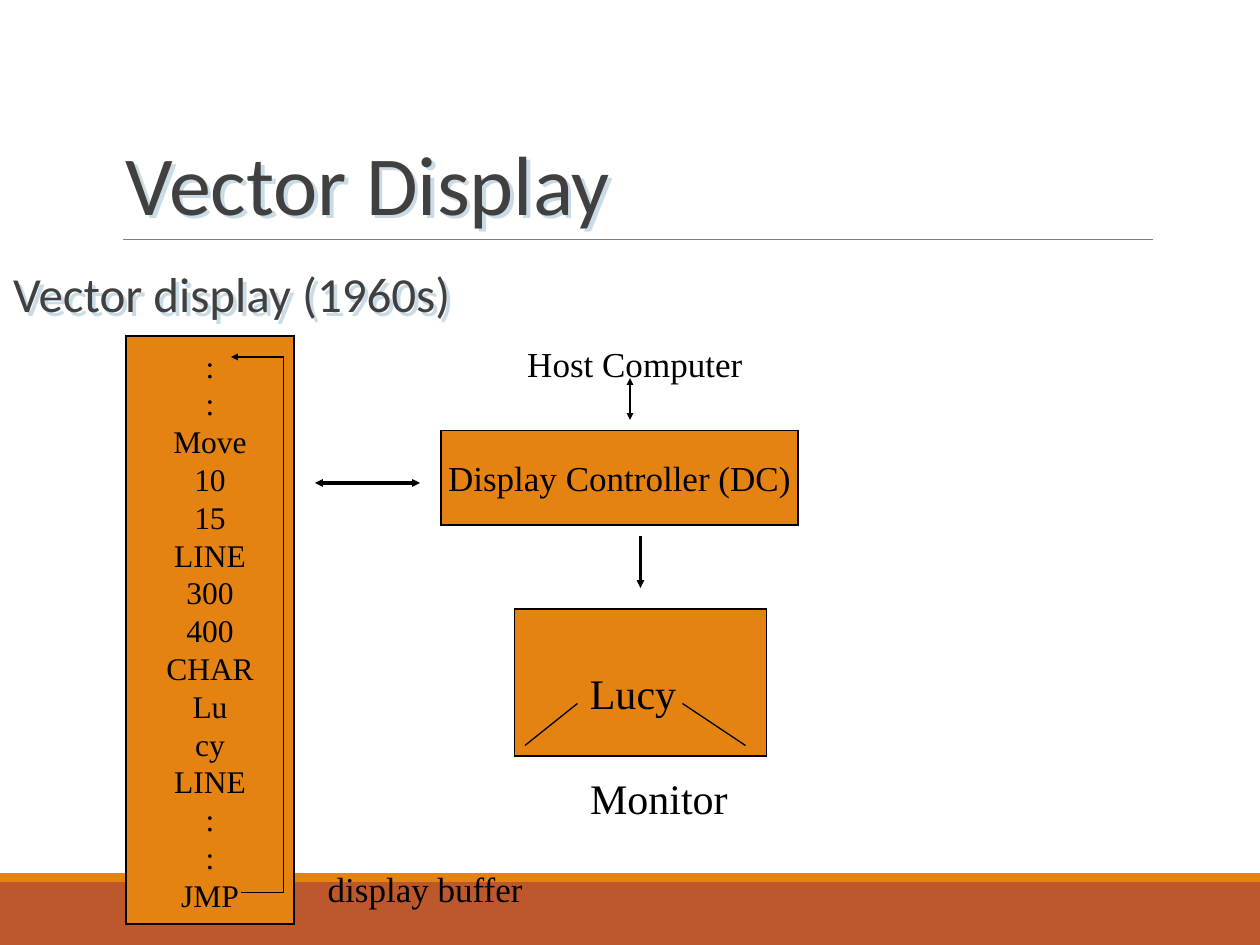
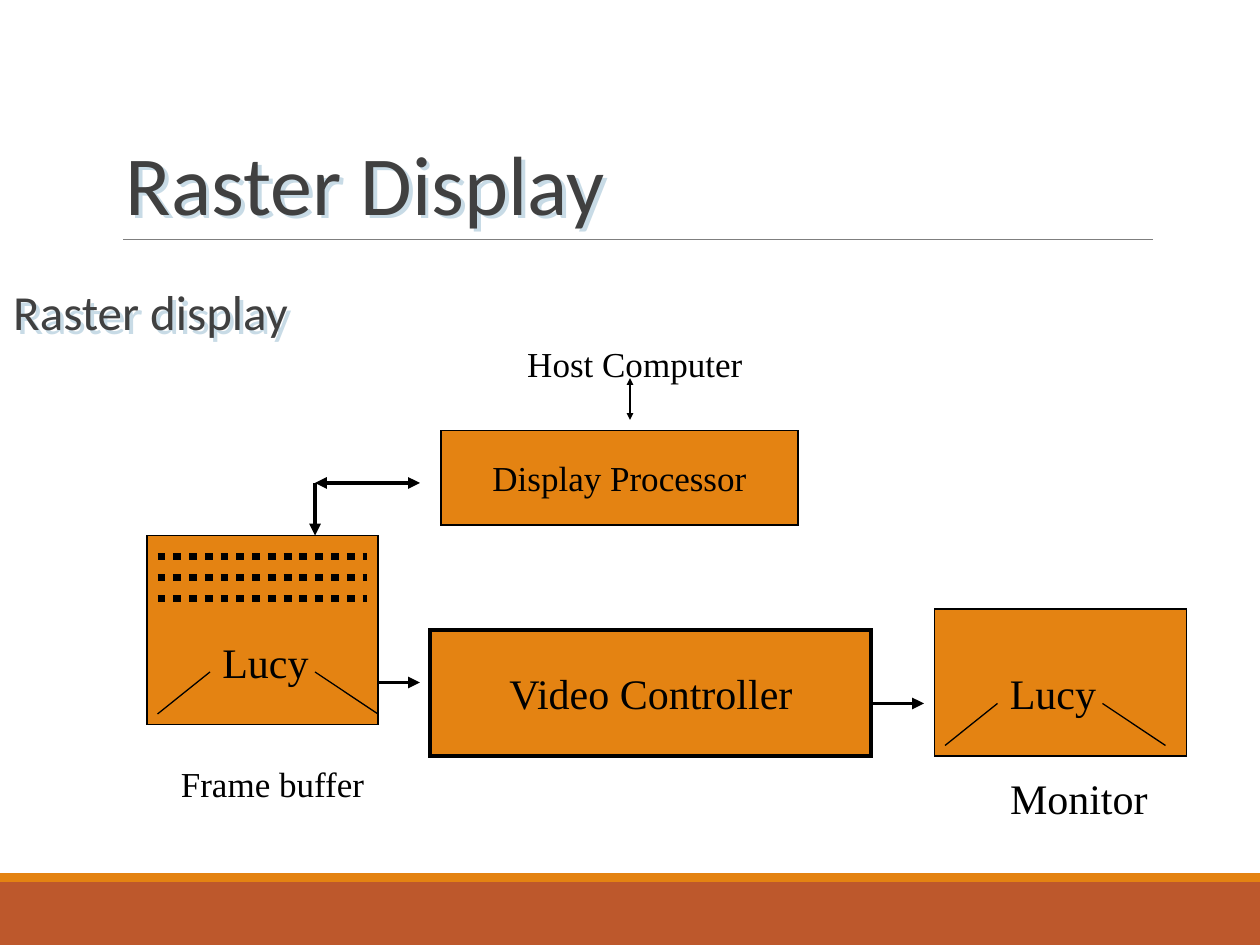
"""Builds two slides on vector and raster displays."""
from pptx import Presentation
from pptx.dml.color import RGBColor
from pptx.enum import dml, shapes, text
from pptx.oxml import parse_xml
from pptx.oxml.ns import nsdecls, qn
from pptx.util import Pt

ORANGE = RGBColor(0xE4, 0x83, 0x12)
RUST = RGBColor(0xBD, 0x58, 0x2C)
GREY = RGBColor(0x7F, 0x7F, 0x7F)
DARK = RGBColor(0x40, 0x40, 0x40)
BLACK = RGBColor(0, 0, 0)
SHADE = RGBColor(0xC8, 0xDB, 0xE6)
SANS, SERIF = "Calibri", "Times New Roman"
WIDTH, HEIGHT = 720, 540
THIN, THICK, DOTS = 0.75, 2.25, 4.5
CODE = [":", ":", "Move", "10", "15", "LINE", "300", "400", "CHAR",
        "Lu", "cy", "LINE", ":", ":", "JMP"]


def style(frame, words, size, font=SERIF, color=BLACK, align=text.PP_ALIGN.CENTER):
    """Fill a text frame and format its paragraphs."""
    frame.text = words
    for para in frame.paragraphs:
        para.alignment = align
        for run in para.runs:
            run.font.size = Pt(size)
            run.font.name = font
            run.font.color.rgb = color


def add_box(slide, x, y, w, h, words="", size=20, fill=ORANGE, edge=THIN):
    """Draw a filled rectangle with centred words."""
    box = slide.shapes.add_shape(shapes.MSO_SHAPE.RECTANGLE, Pt(x), Pt(y), Pt(w), Pt(h))
    box.shadow.inherit = False
    box.fill.solid()
    box.fill.fore_color.rgb = fill
    if edge:
        box.line.color.rgb = BLACK
        box.line.width = Pt(edge)
        box.line._get_or_add_ln().append(
            parse_xml(f'<a:miter {nsdecls("a")} lim="800000"/>'))
    else:
        box.line.fill.background()
    if words:
        frame = box.text_frame
        frame.word_wrap = False
        frame.vertical_anchor = text.MSO_ANCHOR.MIDDLE
        style(frame, words, size)


def add_label(slide, x, y, w, h, words, size=20):
    """Write a centred label that does not wrap."""
    box = slide.shapes.add_textbox(Pt(x), Pt(y), Pt(w), Pt(h))
    box.text_frame.word_wrap = False
    box.text_frame.auto_size = text.MSO_AUTO_SIZE.SHAPE_TO_FIT_TEXT
    style(box.text_frame, words, size)


def add_line(slide, start, end, width=THIN, ends="", color=BLACK, tip="sm"):
    """Draw a line; ends lists headEnd and tailEnd arrowheads."""
    points = [Pt(n) for n in (*start, *end)]
    line = slide.shapes.add_connector(shapes.MSO_CONNECTOR.STRAIGHT, *points)
    line.line.color.rgb = color
    line.line.width = Pt(width)
    for tag in ends.split():
        line.line._get_or_add_ln().append(parse_xml(
            f'<a:{tag} {nsdecls("a")} type="triangle" w="{tip}" len="{tip}"/>'))
    line._element.spPr.append(parse_xml(f'<a:effectLst {nsdecls("a")}/>'))
    return line


def add_head(slide, x, y, w, h, words, size, spacing=1.0, anchor=text.MSO_ANCHOR.TOP):
    """Write a heading with a pale offset shadow."""
    box = slide.shapes.add_textbox(Pt(x), Pt(y), Pt(w), Pt(h))
    frame = box.text_frame
    frame.word_wrap = True
    frame.vertical_anchor = anchor
    style(frame, words, size, SANS, DARK, text.PP_ALIGN.LEFT)
    frame.paragraphs[0].line_spacing = spacing
    box._element.spPr.append(parse_xml(
        f'<a:effectLst {nsdecls("a")}><a:outerShdw dist="{Pt(3)}" dir="2700000">'
        f'<a:srgbClr val="{SHADE}"/></a:outerShdw></a:effectLst>'))


def add_base(deck, title, topic, top):
    """Add a slide with the bands, rule, title and topic."""
    slide = deck.slides.add_slide(deck.slide_layouts[6])
    add_box(slide, 0, 504, WIDTH, 36, fill=RUST, edge=0)
    add_box(slide, 0, 499, WIDTH, 5, edge=0)
    add_line(slide, (70.5, 136.8), (659, 136.8), 0.5, color=GREY)
    add_head(slide, 64.8, 21.8, 594, 114.5, title, 48, 0.85, text.MSO_ANCHOR.BOTTOM)
    add_head(slide, 0.5, top, WIDTH - 0.5, 42, topic, 28)
    return slide


def add_scene(slide, x, y):
    """Draw the name and the two lines beside it."""
    add_label(slide, x, y, 63.5, 36, "Lucy", 24)
    add_line(slide, (x - 30, y + 48), (x, y + 24))
    add_line(slide, (x + 60, y + 24), (x + 96, y + 48))


def add_screen(slide, x, y):
    """Draw the monitor with its scene and caption."""
    add_box(slide, x, y, 144, 84)
    add_scene(slide, x + 36, y + 30)
    add_label(slide, x + 36, y + 90, 93, 36, "Monitor", 24)


def add_host(slide, x, y, words, tip):
    """Draw the host computer above the unit it drives."""
    add_label(slide, x + 42, y, 137.5, 31.5, "Host Computer")
    add_line(slide, (x + 108, y + 48), (x + 108, y + 24), ends="headEnd tailEnd")
    add_box(slide, x, y + 54, 204, 54, words)
    add_line(slide, (x - 72, y + 84), (x - 12, y + 84), THICK, "headEnd tailEnd", tip=tip)


def add_list(slide, x, y):
    """Draw the display buffer with its jump back to the top."""
    add_box(slide, x, y, 96, 336, "\n".join(CODE), 18)
    right, low, high = x + 90, y + 318, y + 12
    add_line(slide, (x + 66, low), (right, low))
    add_line(slide, (right, low), (right, high))
    add_line(slide, (right, high), (x + 60, high), ends="tailEnd")
    add_label(slide, x + 108, y + 300, 126, 31.5, "display buffer")


def add_store(slide, x, y):
    """Draw the frame buffer with its rows of pixels."""
    add_box(slide, x, y, 132, 108)
    for row in range(3):
        level = y + 12 * (row + 1)
        line = add_line(slide, (x + 6, level), (x + 126, level), DOTS)
        line.line.dash_style = dml.MSO_LINE.ROUND_DOT
        line._element.spPr.find(qn("a:ln")).find(qn("a:prstDash")).set("val", "sysDot")
    add_scene(slide, x + 36, y + 54)
    add_label(slide, x + 12, y + 126, 119.5, 31.5, "Frame buffer")


def add_vector(deck):
    """Build the vector display slide."""
    slide = add_base(deck, "Vector Display", "Vector display (1960s)", 147)
    add_list(slide, 72, 192)
    add_host(slide, 252, 192, "Display Controller (DC)", "sm")
    add_line(slide, (366, 306), (366, 336), THICK, "tailEnd")
    add_screen(slide, 294, 348)


def add_raster(deck):
    """Build the raster display slide."""
    slide = add_base(deck, "Raster Display", "Raster display", 157.5)
    add_host(slide, 252, 192, "Display Processor", "med")
    add_store(slide, 84, 306)
    add_box(slide, 246, 360, 252, 72, "Video Controller", 24, edge=THICK)
    flows = [((180, 276), (180, 306)), ((216, 390), (240, 390)), ((498, 402), (528, 402))]
    for start, end in flows:
        add_line(slide, start, end, THICK, "tailEnd", tip="med")
    add_screen(slide, 534, 348)


def main():
    """Build and save the deck."""
    deck = Presentation()
    deck.slide_width, deck.slide_height = Pt(WIDTH), Pt(HEIGHT)
    add_vector(deck)
    add_raster(deck)
    deck.save("out.pptx")


if __name__ == "__main__":
    main()
